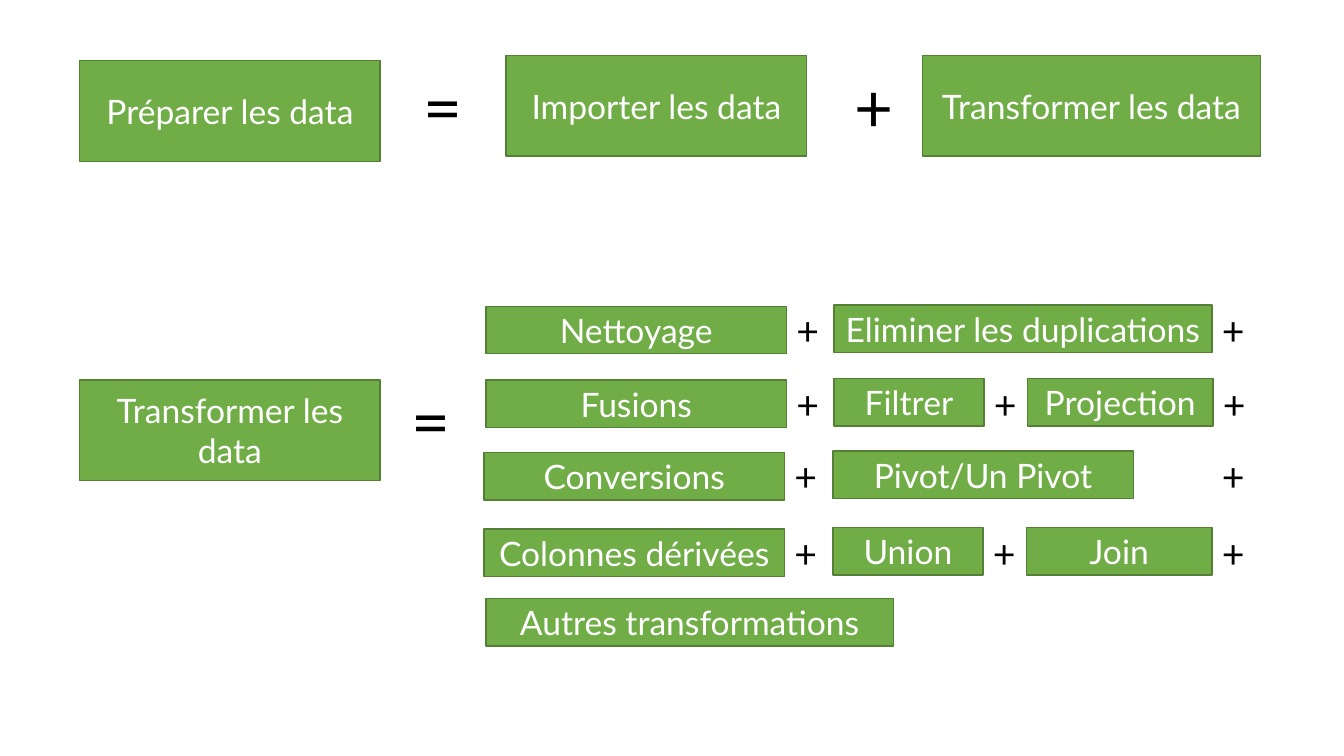
import dataclasses
import typing

import pptx
import pptx.dml.color
import pptx.enum.shapes
import pptx.enum.text
import pptx.util

WIDE, HIGH = 13.33, 7.5
COLS, ROWS = 133.3, 75
FONT = "Lato"
GREEN, EDGE, WHITE, BLACK = "70AD47", "538035", "FFFFFF", "000000"
FULL, HALF, PART = 29.8, 14.9, 18.4
TALL, LOW = 10, 4.7
LIFT = 0.15


@dataclasses.dataclass(frozen=True)
class Box:
    text: str
    col: float
    row: float
    wide: float = FULL
    tall: float = TALL


@dataclasses.dataclass(frozen=True)
class Sign:
    text: str
    col: float
    row: float
    wide: float = 6.6
    tall: float = 9.1
    size: int = 48


@dataclasses.dataclass(frozen=True)
class Step:
    text: str
    col: float
    wide: float = FULL
    gap: typing.Optional[float] = 0


HEADS = [
    Box("Préparer les data", 7.9, 6),
    Box("Importer les data", 50.2, 5.5),
    Box("Transformer les data", 91.5, 5.5, 33.5),
    Box("Transformer les data", 7.9, 37.7),
]
SIGNS = [
    Sign("=", 41, 6),
    Sign("+", 83.8, 6),
    Sign("=", 39.8, 37.1),
]
LINES = {
    30.4: [Step("Nettoyage", 48.2), Step("Eliminer les duplications", 82.7, 37.5)],
    37.7: [Step("Fusions", 48.2), Step("Filtrer", 82.7, HALF),
           Step("Projection", 101.9, PART)],
    44.9: [Step("Conversions", 48), Step("Pivot/Un Pivot", 82.6, gap=7.8)],
    52.5: [Step("Colonnes dérivées", 48), Step("Union", 82.6, HALF),
           Step("Join", 101.8, PART)],
    59.4: [Step("Autres transformations", 48.2, 40.4, None)],
}


def tint(code: str) -> pptx.dml.color.RGBColor:
    return pptx.dml.color.RGBColor.from_string(code)


def place(part: typing.Union[Box, Sign]) -> list[int]:
    across, down = WIDE / COLS, HIGH / ROWS
    return [pptx.util.Inches(part.col * across), pptx.util.Inches(part.row * down),
            pptx.util.Inches(part.wide * across), pptx.util.Inches(part.tall * down)]


def apply(thing: typing.Any, form: dict[str, typing.Any]) -> None:
    for key, value in form.items():
        setattr(thing, key, value)


def write(shape: typing.Any, text: str, size: int, code: str,
          frame: dict[str, typing.Any], align: typing.Any) -> None:
    apply(shape.text_frame, frame)
    line = shape.text_frame.paragraphs[0]
    line.alignment = align
    run = line.add_run()
    run.text = text
    apply(run.font, {"name": FONT, "size": pptx.util.Pt(size)})
    run.font.color.rgb = tint(code)


def draw_box(slide: typing.Any, box: Box) -> None:
    kind = pptx.enum.shapes.MSO_SHAPE.RECTANGLE
    shape = slide.shapes.add_shape(kind, *place(box))
    shape.shadow.inherit = False
    shape.fill.solid()
    shape.fill.fore_color.rgb = tint(GREEN)
    shape.line.color.rgb = tint(EDGE)
    shape.line.width = pptx.util.Pt(1)
    frame = {"word_wrap": True,
             "vertical_anchor": pptx.enum.text.MSO_ANCHOR.MIDDLE}
    write(shape, box.text, 24, WHITE, frame, pptx.enum.text.PP_ALIGN.CENTER)


def draw_sign(slide: typing.Any, sign: Sign) -> None:
    shape = slide.shapes.add_textbox(*place(sign))
    frame = {"word_wrap": False,
             "auto_size": pptx.enum.text.MSO_AUTO_SIZE.SHAPE_TO_FIT_TEXT}
    write(shape, sign.text, sign.size, BLACK, frame, pptx.enum.text.PP_ALIGN.LEFT)


def draw_line(slide: typing.Any, row: float, steps: list[Step]) -> None:
    for rank, step in enumerate(steps):
        top = row - LIFT if rank else row
        draw_box(slide, Box(step.text, step.col, top, step.wide, LOW))
        if step.gap is not None:
            end = step.col + step.wide + step.gap
            draw_sign(slide, Sign("+", end, row - 0.5, 4.7, 5.7, 28))


def main() -> None:
    deck = pptx.Presentation()
    apply(deck, {"slide_width": pptx.util.Inches(WIDE),
                 "slide_height": pptx.util.Inches(HIGH)})
    slide = deck.slides.add_slide(deck.slide_layouts[6])
    for box in HEADS:
        draw_box(slide, box)
    for sign in SIGNS:
        draw_sign(slide, sign)
    for row, steps in LINES.items():
        draw_line(slide, row, steps)
    deck.save("out.pptx")


if __name__ == "__main__":
    main()
